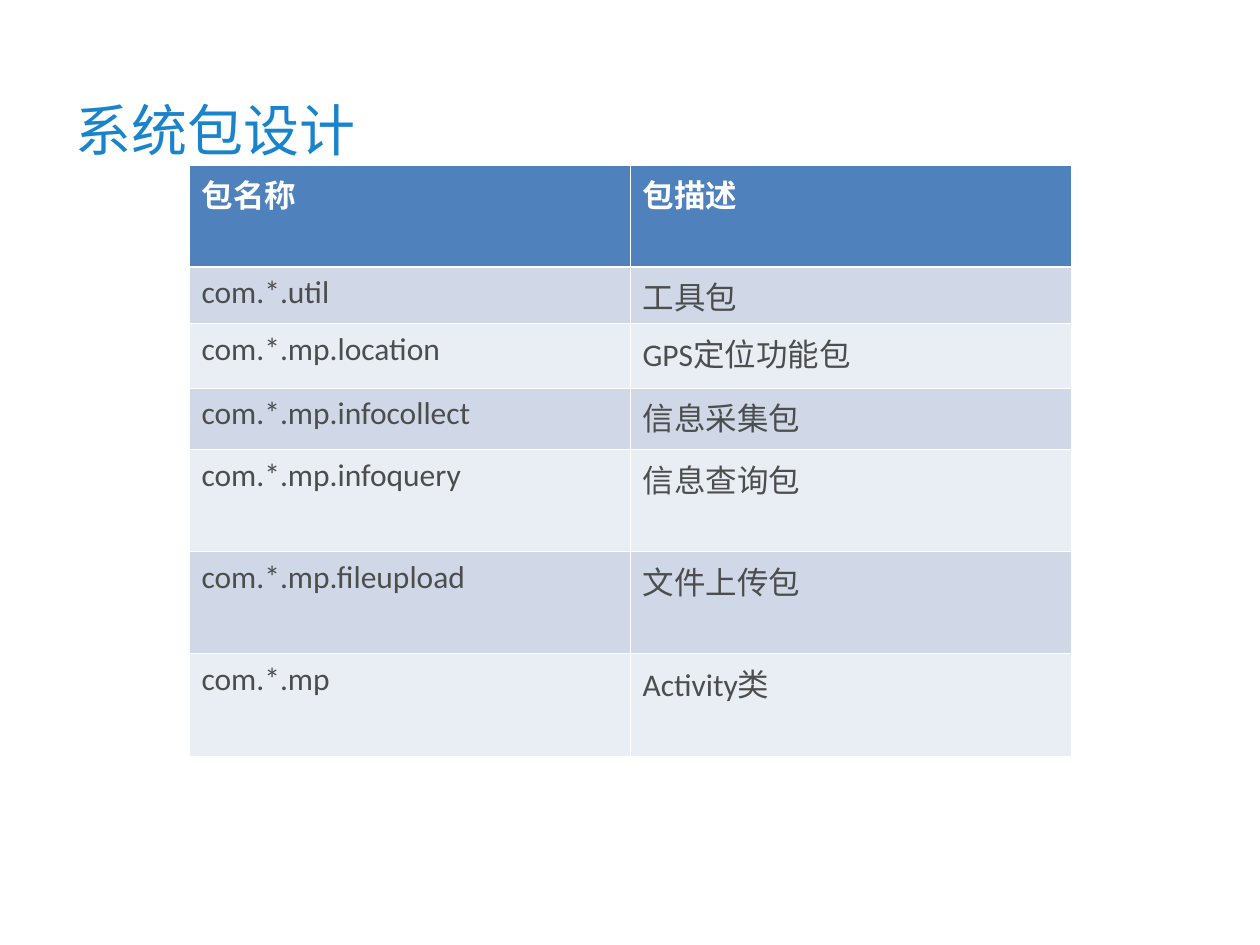
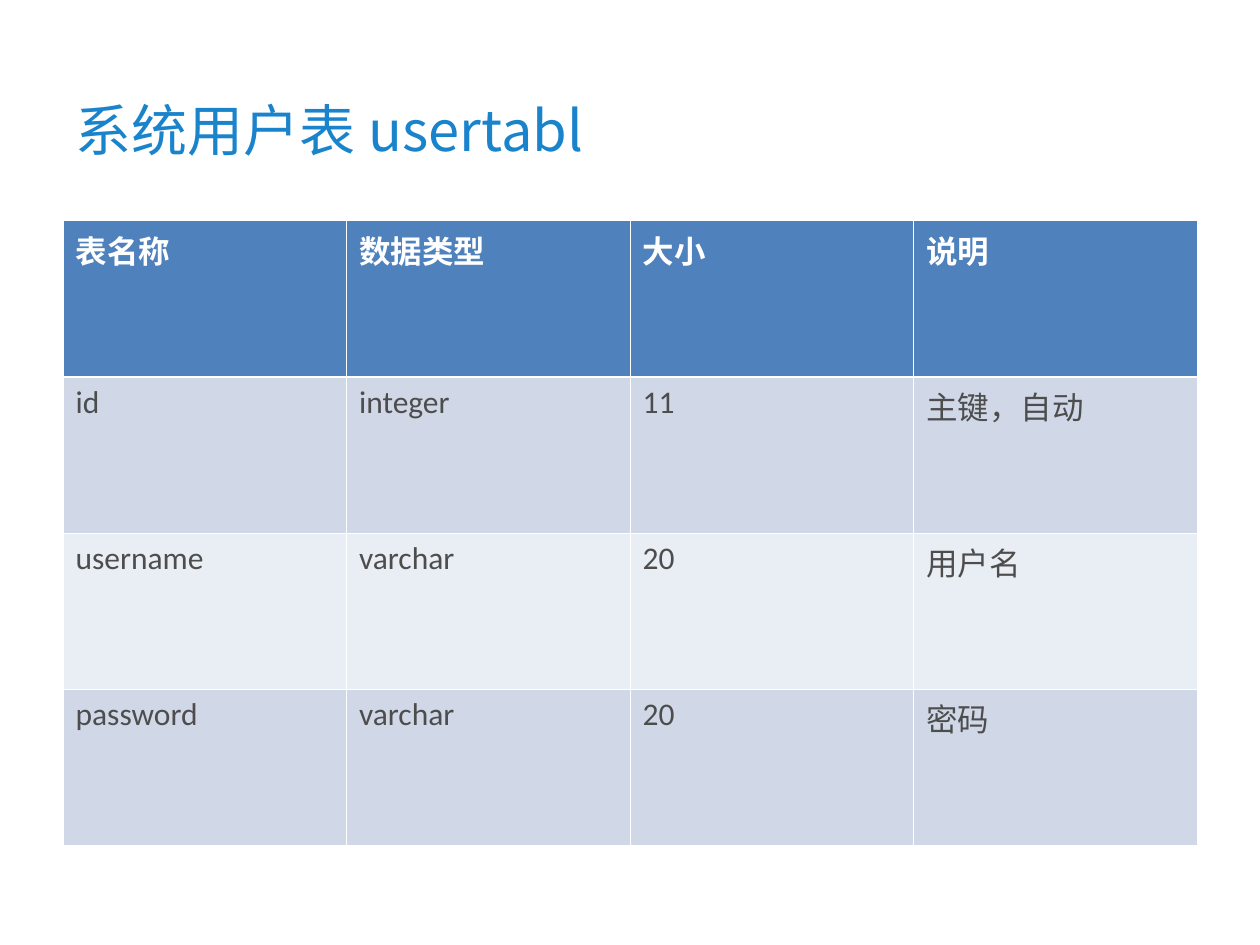
"""Builds two slides, each with a title and a banded table."""
from lxml.etree import SubElement
from pptx import Presentation
from pptx.dml.color import RGBColor
from pptx.enum.text import MSO_ANCHOR
from pptx.oxml.ns import qn
from pptx.util import Inches, Pt

HUES = {"title": "1984CC", "head": "4F81BD", "odd": "D0D8E8",
        "even": "E9EDF4", "text": "4D4D4D", "white": "FFFFFF"}
FONTS = {"title": "Noto Sans CJK SC", "table": "Calibri"}
THIN, THICK = 0.45, 1.47

SLIDES = [
    {"title": "系统包设计", "at": (1.5, 1.31), "width": 7,
     "heights": [0.81, 0.45, 0.51, 0.49, 0.81, 0.81, 0.81],
     "rows": [
         ("包名称", "包描述"),
         ("com.*.util", "工具包"),
         ("com.*.mp.location", "GPS定位功能包"),
         ("com.*.mp.infocollect", "信息采集包"),
         ("com.*.mp.infoquery", "信息查询包"),
         ("com.*.mp.fileupload", "文件上传包"),
         ("com.*.mp", "Activity类"),
     ]},
    {"title": "系统用户表 usertabl", "at": (0.5, 1.75), "width": 9,
     "heights": [1.24] * 4,
     "rows": [
         ("表名称", "数据类型", "大小", "说明"),
         ("id", "integer", "11", "主键，自动"),
         ("username", "varchar", "20", "用户名"),
         ("password", "varchar", "20", "密码"),
     ]},
]


def hue(name):
    return RGBColor.from_string(HUES[name])


def write(frame, text, font, size, color, bold=False):
    para = frame.paragraphs[0]
    para.text = text
    face = para.font
    face.name, face.size, face.bold = FONTS[font], Pt(size), bold
    face.color.rgb = hue(color)


def add_title(slide, text):
    box = slide.shapes.add_textbox(Inches(0.5), Inches(0.5), Inches(9), Inches(1.05))
    frame = box.text_frame
    frame.word_wrap = True
    frame.vertical_anchor = MSO_ANCHOR.MIDDLE
    write(frame, text, "title", 32, "title")


def edge(cell, row):
    props = cell._tc.get_or_add_tcPr()
    widths = {"L": THIN, "R": THIN,
              "T": THICK if row == 1 else THIN,
              "B": THICK if row == 0 else THIN}
    for side, width in widths.items():
        line = SubElement(props, qn(f"a:ln{side}"), w=str(int(Pt(width))))
        fill = SubElement(line, qn("a:solidFill"))
        SubElement(fill, qn("a:srgbClr"), val=HUES["white"])


def add_grid(slide, at, width, heights, rows):
    count = len(rows[0])
    left, top = map(Inches, at)
    table = slide.shapes.add_table(len(rows), count, left, top, Inches(width),
                                   Inches(sum(heights))).table
    table.first_row = table.horz_banding = False
    for col in table.columns:
        col.width = Inches(width / count)
    for r, (height, texts) in enumerate(zip(heights, rows)):
        table.rows[r].height = Inches(height)
        head = r == 0
        band = "head" if head else "odd" if r % 2 else "even"
        for c, text in enumerate(texts):
            cell = table.cell(r, c)
            edge(cell, r)
            cell.fill.solid()
            cell.fill.fore_color.rgb = hue(band)
            write(cell.text_frame, text, "table", 18, "white" if head else "text", head)


def main():
    deck = Presentation()
    deck.slide_width, deck.slide_height = Inches(10), Inches(7.5)
    for page in SLIDES:
        slide = deck.slides.add_slide(deck.slide_layouts[6])
        add_title(slide, page["title"])
        add_grid(slide, page["at"], page["width"], page["heights"], page["rows"])
    deck.save("out.pptx")


if __name__ == "__main__":
    main()
